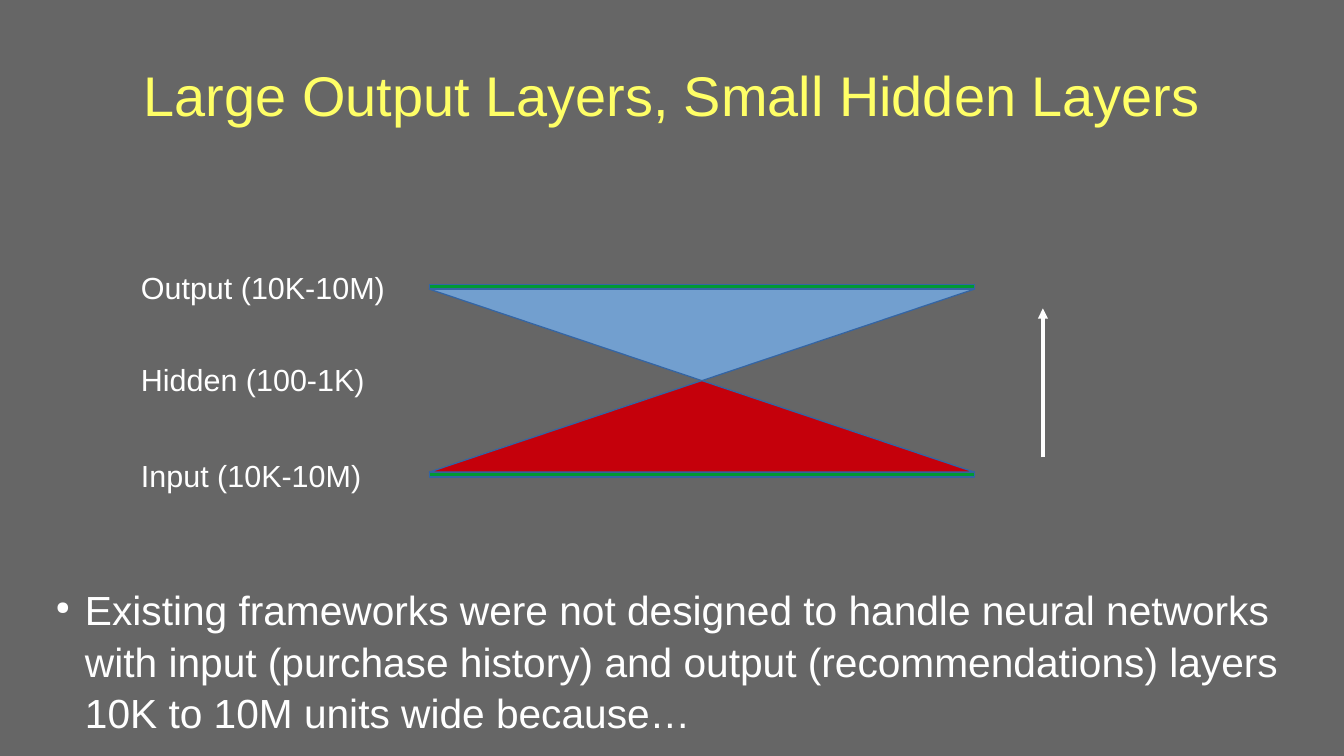
"""Builds a slide on wide output layers around a small hidden layer."""
from lxml import etree
from pptx import Presentation, util as u
from pptx.dml.color import RGBColor
from pptx.enum import shapes, text
from pptx.oxml.ns import qn

HUES = {"back": "666666", "title": "FFFF66", "text": "FFFFFF", "edge": "3465A4",
        "bar": "009933", "in": "C5000B", "out": "729FCF"}


class Page:
    """Holds the style and the current slide, placed on a 100 by 100 grid."""

    def __init__(self, deck, font="Arial"):
        self.col, self.row = deck.slide_width / 100, deck.slide_height / 100
        self.font = font
        self.slide = deck.slides.add_slide(deck.slide_layouts[5])
        self.fill(self.slide.background, "back")

    def fill(self, item, hue):
        item.fill.solid()
        item.fill.fore_color.rgb = RGBColor.from_string(HUES[hue])

    def box(self, x, y, w, h):
        return [round(n) for n in (x * self.col, y * self.row, w * self.col, h * self.row)]

    def style(self, para, size, hue):
        para.font.name, para.font.size = self.font, u.Pt(size)
        para.font.color.rgb = RGBColor.from_string(HUES[hue])

    def line(self, item, hue):
        item.line.color.rgb = RGBColor.from_string(HUES[hue])
        item.line.width = 0

    def title(self, words, *area):
        head = self.slide.shapes.title
        head.left, head.top, head.width, head.height = self.box(*area)
        frame = head.text_frame
        frame.margin_left = frame.margin_right = frame.margin_top = frame.margin_bottom = 0
        frame.vertical_anchor = text.MSO_ANCHOR.MIDDLE
        frame.text = words
        frame.paragraphs[0].alignment = text.PP_ALIGN.CENTER
        self.style(frame.paragraphs[0], 33, "title")

    def shape(self, kind, hue, *area, turn=0):
        item = self.slide.shapes.add_shape(kind, *self.box(*area))
        item.shadow.inherit = False
        item.rotation = turn
        self.fill(item, hue)
        self.line(item, "edge")

    def label(self, words, *area, size=18, wrap=False):
        frame = self.slide.shapes.add_textbox(*self.box(*area)).text_frame
        frame.word_wrap = wrap
        para = frame.paragraphs[0]
        para.text = words
        self.style(para, size, "text")
        return para

    def bullet(self, words, *area):
        para = self.label(words, *area, size=24, wrap=True)
        para.line_spacing = 1.05
        props = para._p.get_or_add_pPr()
        dent = u.Inches(0.24)
        props.set("marL", str(dent))
        props.set("indent", str(-dent))
        tint = etree.SubElement(props, qn("a:buClr"))
        etree.SubElement(tint, qn("a:srgbClr"), val=HUES["text"])
        etree.SubElement(props, qn("a:buSzPct"), val="45000")
        etree.SubElement(props, qn("a:buChar"), char="●")
        props.append(props.find(qn("a:defRPr")))

    def arrow(self, x, start, end):
        left, top, _, _ = self.box(x, start, 0, 0)
        item = self.slide.shapes.add_connector(
            shapes.MSO_CONNECTOR.STRAIGHT, left, top, left, round(end * self.row))
        self.line(item, "text")
        etree.SubElement(item.line._get_or_add_ln(), qn("a:tailEnd"), type="triangle")
        etree.SubElement(item._element.spPr, qn("a:effectLst"))


def main():
    deck = Presentation()
    deck.slide_width, deck.slide_height = u.Inches(11.02), u.Inches(6.2)
    page = Page(deck)
    page.title("Large Output Layers, Small Hidden Layers", 5, 4, 90, 16.8)
    page.arrow(77.6, 60.5, 40.8)

    left, wide, thin, high = 31.95, 40.55, 0.65, 12.1
    top = 37.6
    mid = top + thin + high
    base = mid + high
    box, peak = shapes.MSO_SHAPE.RECTANGLE, shapes.MSO_SHAPE.ISOSCELES_TRIANGLE
    for y in (top, base):
        page.shape(box, "bar", left, y, wide, thin)
    for name, y in (("Output (10K-10M)", 34.85), ("Hidden (100-1K)", 46.9),
                    ("Input (10K-10M)", 59.65)):
        page.label(name, 9.6, y, 20, 6.1)
    page.shape(peak, "in", left, mid, wide, high)
    page.shape(peak, "out", left, top + thin, wide, high, turn=180)

    page.bullet("Existing frameworks were not designed to handle neural networks with input "
                "(purchase history) and output (recommendations) layers 10K to 10M units wide "
                "because…", 3.25, 76.3, 95.75, 23.7)
    deck.save("out.pptx")


if __name__ == "__main__":
    main()
